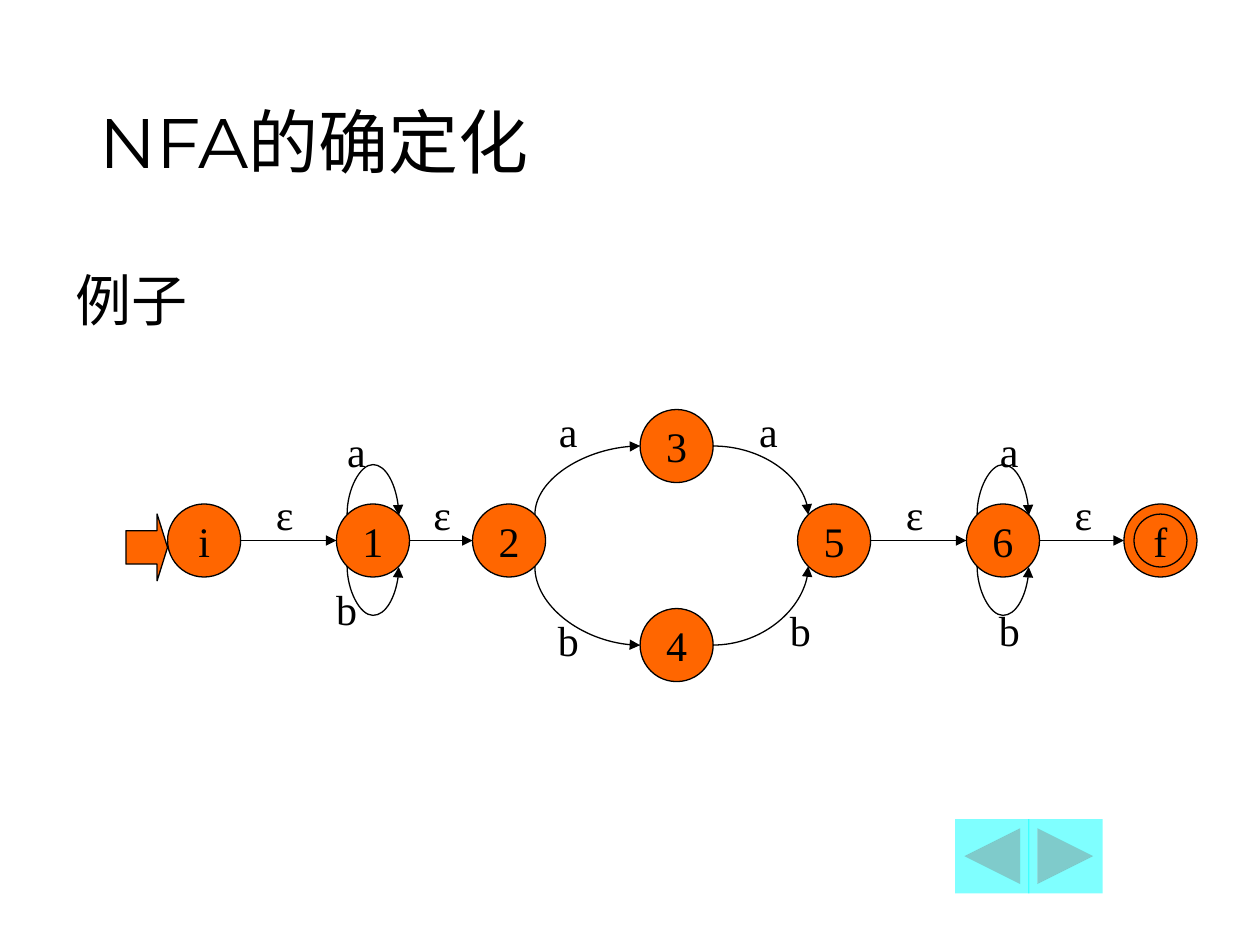
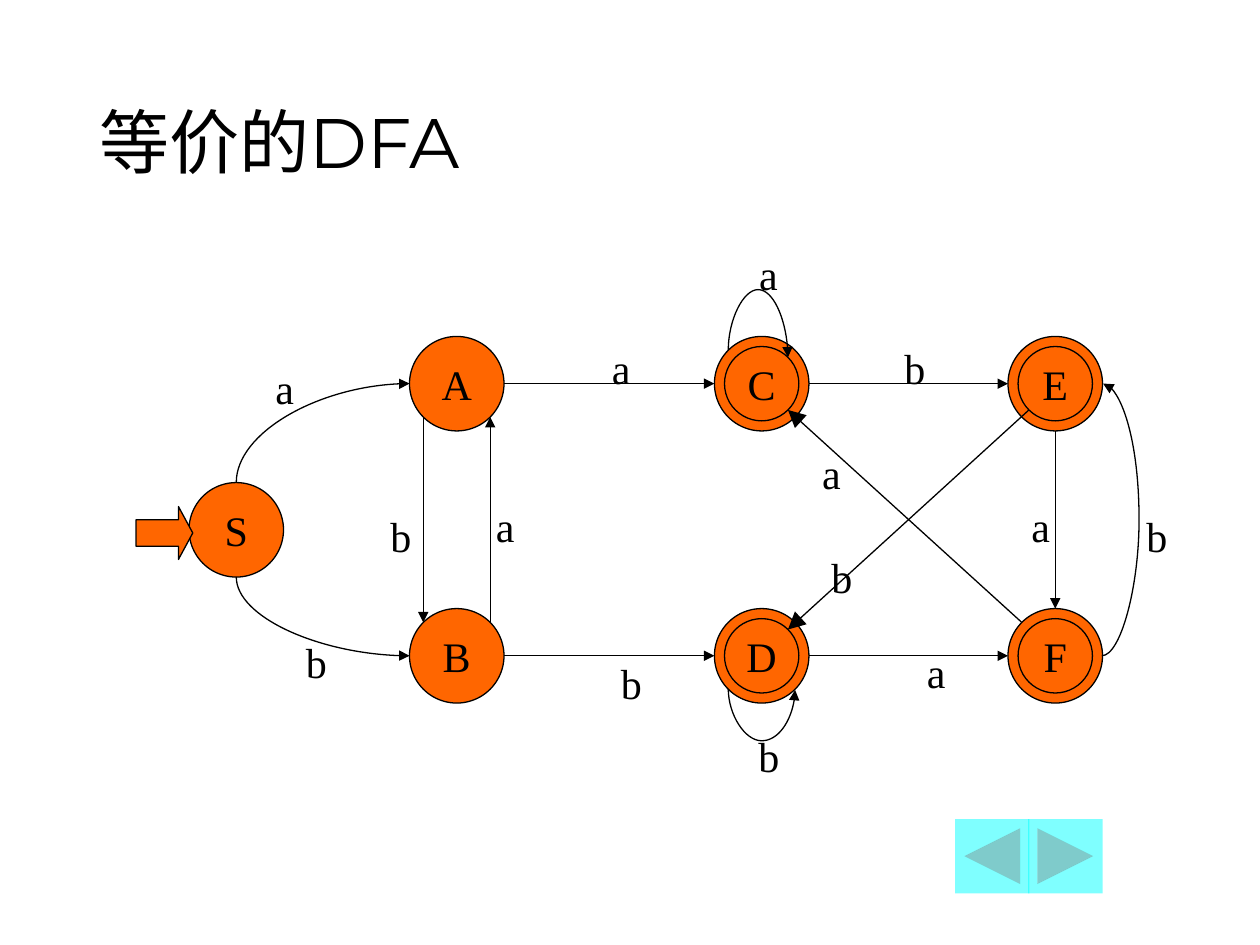
import math
from dataclasses import dataclass
from typing import Optional

import pptx
import pptx.dml.color
import pptx.enum.shapes
import pptx.enum.text
import pptx.oxml
import pptx.oxml.ns
import pptx.util
from pptx.util import Inches

COLOURS = {"ink": "000000", "state": "FF6600", "button": "00FFFF"}
TITLE_FONT, BODY_FONT, DIAGRAM_FONT = "Montserrat", "Karla", "Times New Roman"
SHAPES = pptx.enum.shapes.MSO_SHAPE
CONNECTORS = pptx.enum.shapes.MSO_CONNECTOR
ANCHOR = pptx.enum.text.MSO_ANCHOR
ALIGN = pptx.enum.text.PP_ALIGN
RING_GAP = 0.08
LABEL_WIDTH, LABEL_HEIGHT = 0.36, 0.5
MINIMUM_RUN = 0.01
SIDES = {
    "N": (0, -1), "S": (0, 1), "W": (-1, 0), "E": (1, 0),
    "NW": (-1, -1), "NE": (1, -1), "SW": (-1, 1), "SE": (1, 1),
}


@dataclass(frozen=True)
class State:
    name: str
    left: float
    top: float
    size: float
    accepting: bool = False

    def point(self, side: str, inner: bool = False) -> tuple[float, float]:
        across, down = SIDES[side]
        radius = self.size / 2 - (RING_GAP if inner else 0)
        reach = radius / math.hypot(across, down)
        middle = self.size / 2
        return self.left + middle + across * reach, self.top + middle + down * reach


@dataclass(frozen=True)
class Edge:
    source: str
    leave: str
    target: str
    enter: str
    label: str
    label_left: float
    label_top: float
    curved: bool = False
    bulge: Optional[float] = None
    inner_start: bool = False
    inner_end: bool = False
    head: str = "med"


@dataclass(frozen=True)
class StartArrow:
    left: float
    top: float
    width: float
    height: float
    head: float


@dataclass(frozen=True)
class Automaton:
    title: str
    states: list[State]
    edges: list[Edge]
    start: StartArrow
    subtitle: str = ""


NFA = Automaton(
    title="NFA的确定化",
    subtitle="例子",
    states=[
        State("i", 1.33, 4, 0.58), State("1", 2.67, 4, 0.58),
        State("2", 3.75, 4, 0.58), State("3", 5.08, 3.25, 0.58),
        State("4", 5.08, 4.83, 0.58), State("5", 6.33, 4, 0.58),
        State("6", 7.67, 4, 0.58), State("f", 8.92, 4, 0.58, accepting=True),
    ],
    edges=[
        Edge("i", "E", "1", "W", "ε", 2.08, 3.83),
        Edge("1", "NW", "1", "NE", "a", 2.65, 3.33, curved=True, bulge=-0.4),
        Edge("1", "SW", "1", "SE", "b", 2.57, 4.58, curved=True, bulge=0.4),
        Edge("1", "E", "2", "W", "ε", 3.33, 3.83),
        Edge("2", "NE", "3", "W", "a", 4.33, 3.17, curved=True),
        Edge("2", "SE", "4", "W", "b", 4.33, 4.83, curved=True),
        Edge("3", "E", "5", "NW", "a", 5.92, 3.17, curved=True),
        Edge("4", "E", "5", "SW", "b", 6.17, 4.75, curved=True),
        Edge("5", "E", "6", "W", "ε", 7.08, 3.83),
        Edge("6", "NW", "6", "NE", "a", 7.83, 3.33, curved=True, bulge=-0.4),
        Edge("6", "SW", "6", "SE", "b", 7.83, 4.75, curved=True, bulge=0.4),
        Edge("6", "E", "f", "W", "ε", 8.42, 3.83),
    ],
    start=StartArrow(1, 4.08, 0.33, 0.53, 0.25),
)

DFA = Automaton(
    title="等价的DFA",
    states=[
        State("S", 1.5, 3.83, 0.75),
        State("A", 3.25, 2.67, 0.75), State("B", 3.25, 4.83, 0.75),
        State("C", 5.67, 2.67, 0.75, accepting=True),
        State("D", 5.67, 4.83, 0.75, accepting=True),
        State("E", 8, 2.67, 0.75, accepting=True),
        State("F", 8, 4.83, 0.75, accepting=True),
    ],
    edges=[
        Edge("S", "N", "A", "W", "a", 2.08, 2.83, curved=True),
        Edge("S", "S", "B", "W", "b", 2.33, 5, curved=True),
        Edge("A", "SW", "B", "NW", "b", 3, 4),
        Edge("B", "NE", "A", "SE", "a", 3.83, 3.92),
        Edge("A", "E", "C", "W", "a", 4.75, 2.67),
        Edge("B", "E", "D", "W", "b", 4.83, 5.17),
        Edge("C", "NW", "C", "NE", "a", 5.92, 1.92, curved=True, bulge=-0.48,
             inner_end=True),
        Edge("D", "SW", "D", "SE", "b", 5.92, 5.75, curved=True, bulge=0.42),
        Edge("C", "E", "E", "W", "b", 7.08, 2.67),
        Edge("D", "E", "F", "W", "a", 7.25, 5.08),
        Edge("E", "S", "F", "N", "a", 8.08, 3.92),
        Edge("F", "E", "E", "E", "b", 9, 4, curved=True, bulge=0.3),
        Edge("F", "NW", "C", "SE", "a", 6.42, 3.5, inner_end=True, head="lg"),
        Edge("E", "SW", "D", "NE", "b", 6.5, 4.33, inner_start=True,
             inner_end=True, head="lg"),
    ],
    start=StartArrow(1.08, 4.02, 0.45, 0.42, 0.27),
)


def colour(name: str) -> pptx.dml.color.RGBColor:
    return pptx.dml.color.RGBColor.from_string(COLOURS[name])


def write(shape, text: str, font: str, size: float, align=ALIGN.LEFT,
          anchor=ANCHOR.TOP, wrap: bool = True) -> None:
    frame = shape.text_frame
    frame.word_wrap = wrap
    frame.vertical_anchor = anchor
    para = frame.paragraphs[0]
    para.alignment = align
    span = para.add_run()
    span.text = text
    span.font.name = font
    span.font.size = pptx.util.Pt(size)
    span.font.color.rgb = colour("ink")


def write_symbol(shape, symbol: str) -> None:
    write(shape, symbol, DIAGRAM_FONT, 24, ALIGN.CENTER, ANCHOR.MIDDLE, False)


def add_box(page, left: float, top: float, width: float, height: float):
    return page.shapes.add_textbox(Inches(left), Inches(top), Inches(width), Inches(height))


def add_solid(page, kind, left: float, top: float, width: float, height: float,
              fill: str, outlined: bool = True):
    shape = page.shapes.add_shape(
        kind, Inches(left), Inches(top), Inches(width), Inches(height))
    shape.shadow.inherit = False
    shape.fill.solid()
    shape.fill.fore_color.rgb = colour(fill)
    if outlined:
        shape.line.color.rgb = colour("ink")
        shape.line.width = pptx.util.Pt(0.75)
    else:
        shape.line.fill.background()
    return shape


def add_state(page, state: State) -> None:
    gaps = [0, RING_GAP] if state.accepting else [0]
    for gap in gaps:
        size = state.size - 2 * gap
        circle = add_solid(page, SHAPES.OVAL, state.left + gap, state.top + gap,
                           size, size, "state")
    write_symbol(circle, state.name)


def style_connector(connector, head: str) -> None:
    connector.line.color.rgb = colour("ink")
    connector.line.width = pptx.util.Pt(0.75)
    tail = pptx.oxml.parse_xml(
        f'<a:tailEnd {pptx.oxml.ns.nsdecls("a")} type="triangle" w="{head}" len="{head}"/>')
    connector.line._get_or_add_ln().append(tail)
    connector.element.spPr.append(
        pptx.oxml.parse_xml(f'<a:effectLst {pptx.oxml.ns.nsdecls("a")}/>'))


def add_curve(page, start: tuple[float, float], end: tuple[float, float],
              vertical: bool, bulge: Optional[float]):
    across, down = end[0] - start[0], end[1] - start[1]
    run, rise = (down, across) if vertical else (across, down)
    if abs(run) < MINIMUM_RUN:
        run = MINIMUM_RUN
    width, height = abs(run), abs(rise)
    left = (start[0] + end[0] - width) / 2
    top = (start[1] + end[1] - height) / 2
    connector = page.shapes.add_connector(
        CONNECTORS.CURVE, Inches(left), Inches(top),
        Inches(left + width), Inches(top + height))
    frame = connector.element.spPr.xfrm
    frame.rot = 90 if vertical else 0
    frame.flipH = run < 0
    frame.flipV = rise > 0 if vertical else rise < 0
    geometry = connector.element.spPr.find(pptx.oxml.ns.qn("a:prstGeom"))
    if bulge is None:
        geometry.set("prst", "curvedConnector2")
    else:
        guides = geometry.find(pptx.oxml.ns.qn("a:avLst"))
        guides.append(pptx.oxml.parse_xml(
            f'<a:gd {pptx.oxml.ns.nsdecls("a")} name="adj1" '
            f'fmla="val {round(bulge / run * 100000)}"/>'))
    return connector


def add_edge(page, edge: Edge, states: dict[str, State]) -> None:
    start = states[edge.source].point(edge.leave, edge.inner_start)
    end = states[edge.target].point(edge.enter, edge.inner_end)
    if edge.curved:
        connector = add_curve(page, start, end, edge.leave not in ("E", "W"), edge.bulge)
    else:
        connector = page.shapes.add_connector(
            CONNECTORS.STRAIGHT, *(Inches(value) for value in (*start, *end)))
    style_connector(connector, edge.head)
    label = add_box(page, edge.label_left, edge.label_top, LABEL_WIDTH, LABEL_HEIGHT)
    write_symbol(label, edge.label)


def add_buttons(page) -> None:
    kinds = (SHAPES.ACTION_BUTTON_BACK_OR_PREVIOUS, SHAPES.ACTION_BUTTON_FORWARD_OR_NEXT)
    for index, kind in enumerate(kinds):
        button = add_solid(page, kind, 7.58 + index * 0.58, 6.5, 0.59, 0.59, "button", False)
        shade = button.element.spPr.find(
            f'{pptx.oxml.ns.qn("a:solidFill")}/{pptx.oxml.ns.qn("a:srgbClr")}')
        shade.append(pptx.oxml.parse_xml(
            f'<a:alpha {pptx.oxml.ns.nsdecls("a")} val="50000"/>'))


def add_automaton(deck, automaton: Automaton) -> None:
    page = deck.slides.add_slide(deck.slide_layouts[6])
    title = add_box(page, 0.44, 0.25, 8.5, 1.25)
    title.text_frame.margin_left = Inches(0.35)
    write(title, automaton.title, TITLE_FONT, 40, anchor=ANCHOR.BOTTOM)
    if automaton.subtitle:
        write(add_box(page, 0.5, 2.06, 8.94, 4.56), automaton.subtitle, BODY_FONT, 32)
    add_buttons(page)
    states = {state.name: state for state in automaton.states}
    for state in automaton.states:
        add_state(page, state)
    for edge in automaton.edges:
        add_edge(page, edge, states)
    start = automaton.start
    arrow = add_solid(page, SHAPES.RIGHT_ARROW, start.left, start.top,
                      start.width, start.height, "state")
    arrow.adjustments[1] = start.head


def main() -> None:
    deck = pptx.Presentation()
    deck.slide_width, deck.slide_height = Inches(10), Inches(7.5)
    for automaton in (NFA, DFA):
        add_automaton(deck, automaton)
    deck.save("out.pptx")


if __name__ == "__main__":
    main()
